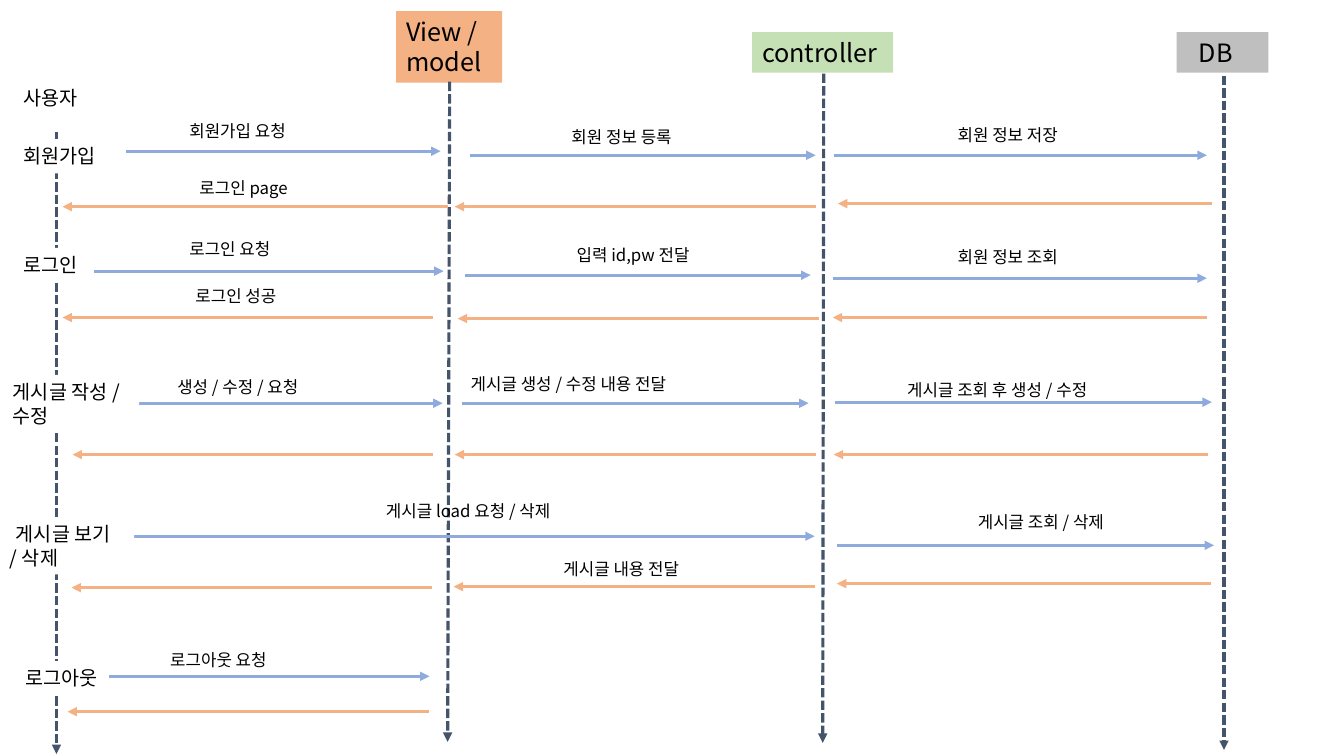
from dataclasses import dataclass
from typing import Optional

from lxml.etree import SubElement
from pptx import Presentation
from pptx.dml.color import RGBColor as RGB
from pptx.enum.dml import MSO_LINE as Dash
from pptx.enum.shapes import MSO_CONNECTOR as Conn, MSO_SHAPE as Shape
from pptx.enum.text import MSO_ANCHOR as Anchor, PP_ALIGN as Align
from pptx.oxml.ns import qn
from pptx.util import Inches, Pt

FONT = "Noto Sans CJK KR"
COLORS = {
    "text": "000000", "white": "FFFFFF", "lifeline": "44546A",
    "request": "8FAADC", "response": "F4B183",
    "view": "F4B183", "controller": "C5E0B4", "db": "BFBFBF",
}
WIDTH, HEIGHT = Inches(13.33), Inches(7.5)
COLS, ROWS = 13.33, 7.5
LABEL_ROWS = 0.3
INSET = 0.1


@dataclass
class Box:
    text: str
    col: float
    row: float
    cols: float = 1.12
    rows: float = 0.34
    fill: Optional[str] = "white"
    size: int = 14
    inset: float = INSET
    indent: float = 0


@dataclass
class Lifeline:
    top_col: float
    top: float
    end_col: float
    end: float


@dataclass
class Message:
    start: float
    end: float
    row: float


@dataclass
class Label:
    text: str
    col: float
    row: float
    cols: float


HEADS = [
    Box("DB", 11.67, 0.32, 0.91, 0.4, "db", 18, inset=0.22),
    Box("controller", 7.46, 0.32, 1.4, 0.4, "controller", 18),
    Box("View /model", 3.93, 0.11, 1.05, 0.71, "view", 18),
]
LIFELINES = [
    Lifeline(0.56, 1.31, 0.56, 7.48),
    Lifeline(4.46, 0.81, 4.44, 7.36),
    Lifeline(8.17, 0.73, 8.16, 7.37),
    Lifeline(12.14, 0.75, 12.14, 7.44),
]
STEPS_BEHIND = [Box("로그인", 0.13, 2.46), Box("로그아웃", 0.15, 6.56)]
STEPS_FRONT = [
    Box("사용자", 0.13, 0.8),
    Box("회원가입", 0.13, 1.38),
    Box("게시글 작성 / 수정", 0.03, 3.72, 1.35, 0.57),
    Box("게시글 보기\n/ 삭제", 0, 5.13, 1.33, 0.57, indent=0.06),
]
MESSAGES = [
    Message(0.62, 4.37, 1.5), Message(4.66, 8.09, 1.54), Message(8.27, 11.97, 1.54),
    Message(12.02, 8.31, 2.02), Message(8.09, 4.51, 2.05), Message(4.44, 0.62, 2.05),
    Message(0.93, 4.4, 2.69), Message(4.61, 8.04, 2.73), Message(8.26, 11.97, 2.76),
    Message(11.97, 8.26, 3.15), Message(8.12, 4.54, 3.16), Message(4.29, 0.62, 3.15),
    Message(1.21, 4.39, 4), Message(4.58, 8.02, 4), Message(8.28, 12.02, 3.99),
    Message(11.98, 8.27, 4.51), Message(8.09, 4.51, 4.51), Message(4.29, 0.72, 4.51),
    Message(1.24, 8.08, 5.32), Message(8.3, 12.04, 5.41),
    Message(12.01, 8.3, 5.79), Message(8.08, 4.5, 5.82), Message(4.28, 0.71, 5.83),
    Message(1.08, 4.26, 6.71), Message(4.25, 0.67, 7.06),
]
LABELS = [
    Label("회원가입 요청", 1.78, 1.15, 1.36),
    Label("회원 정보 등록", 5.57, 1.21, 1.4),
    Label("회원 정보 저장", 9.4, 1.19, 1.4),
    Label("로그인 page", 1.88, 1.71, 1.94),
    Label("로그인 요청", 1.78, 2.32, 1.36),
    Label("입력 id,pw 전달", 5.62, 2.38, 1.78),
    Label("회원 정보 조회", 9.4, 2.4, 1.47),
    Label("로그인 성공", 1.84, 2.79, 1.14),
    Label("생성 / 수정 / 요청", 1.66, 3.69, 2.19),
    Label("게시글 생성 / 수정 내용 전달", 4.57, 3.66, 3.58),
    Label("게시글 조회 후 생성 / 수정", 8.9, 3.72, 3.33),
    Label("게시글 load 요청 / 삭제", 3.73, 4.92, 2.1),
    Label("게시글 조회 / 삭제", 9.6, 5.03, 1.81),
    Label("게시글 내용 전달", 5.49, 5.49, 1.68),
    Label("로그아웃 요청", 1.59, 6.4, 1.94),
]


def x(cols: float) -> int:
    return round(WIDTH * cols / COLS)


def y(rows: float) -> int:
    return round(HEIGHT * rows / ROWS)


def rgb(name: str) -> RGB:
    return RGB.from_string(COLORS[name])


def apply(target, values: dict) -> None:
    for name, value in values.items():
        setattr(target, name, value)


def draw_box(s, box: Box) -> None:
    place = x(box.col), y(box.row), x(box.cols), y(box.rows)
    if box.fill:
        sp = s.shapes.add_shape(Shape.RECTANGLE, *place)
        sp.shadow.inherit = False
        sp.fill.solid()
        sp.fill.fore_color.rgb = rgb(box.fill)
        sp.line.fill.background()
    else:
        sp = s.shapes.add_textbox(*place)
    tf = sp.text_frame
    tf.text = box.text
    apply(tf, {"word_wrap": True, "vertical_anchor": Anchor.TOP,
               "margin_left": x(box.inset), "margin_right": x(INSET),
               "margin_top": y(INSET / 2), "margin_bottom": y(INSET / 2)})
    for p in tf.paragraphs:
        p.alignment = Align.LEFT
        for r in p.runs:
            apply(r.font, {"name": FONT, "size": Pt(box.size)})
            r.font.color.rgb = rgb("text")
            SubElement(r.font._element, qn("a:ea")).set("typeface", FONT)
    if box.indent:
        tf.paragraphs[0]._p.get_or_add_pPr().set("indent", str(x(box.indent)))


def draw_arrow(s, start: tuple, end: tuple, color: str,
               dash: Optional[Dash] = None) -> None:
    line = s.shapes.add_connector(
        Conn.STRAIGHT, x(start[0]), y(start[1]), x(end[0]), y(end[1]))
    line.line.color.rgb = rgb(color)
    apply(line.line, {"width": Pt(2.25), "dash_style": dash})
    SubElement(line.line._get_or_add_ln(), qn("a:tailEnd")).set("type", "triangle")
    SubElement(line._element.spPr, qn("a:effectLst"))


def draw_message(s, m: Message) -> None:
    color = "request" if m.end > m.start else "response"
    draw_arrow(s, (m.start, m.row), (m.end, m.row), color)


prs = Presentation()
apply(prs, {"slide_width": WIDTH, "slide_height": HEIGHT})
s = prs.slides.add_slide(prs.slide_layouts[6])
for head in HEADS:
    draw_box(s, head)
for life in LIFELINES:
    draw_arrow(s, (life.top_col, life.top), (life.end_col, life.end),
               "lifeline", Dash.SQUARE_DOT)
for step in STEPS_BEHIND:
    draw_box(s, step)
for message in MESSAGES:
    draw_message(s, message)
for step in STEPS_FRONT:
    draw_box(s, step)
for label in LABELS:
    draw_box(s, Box(label.text, label.col, label.row, label.cols,
                    LABEL_ROWS, None, 12))
prs.save("out.pptx")
